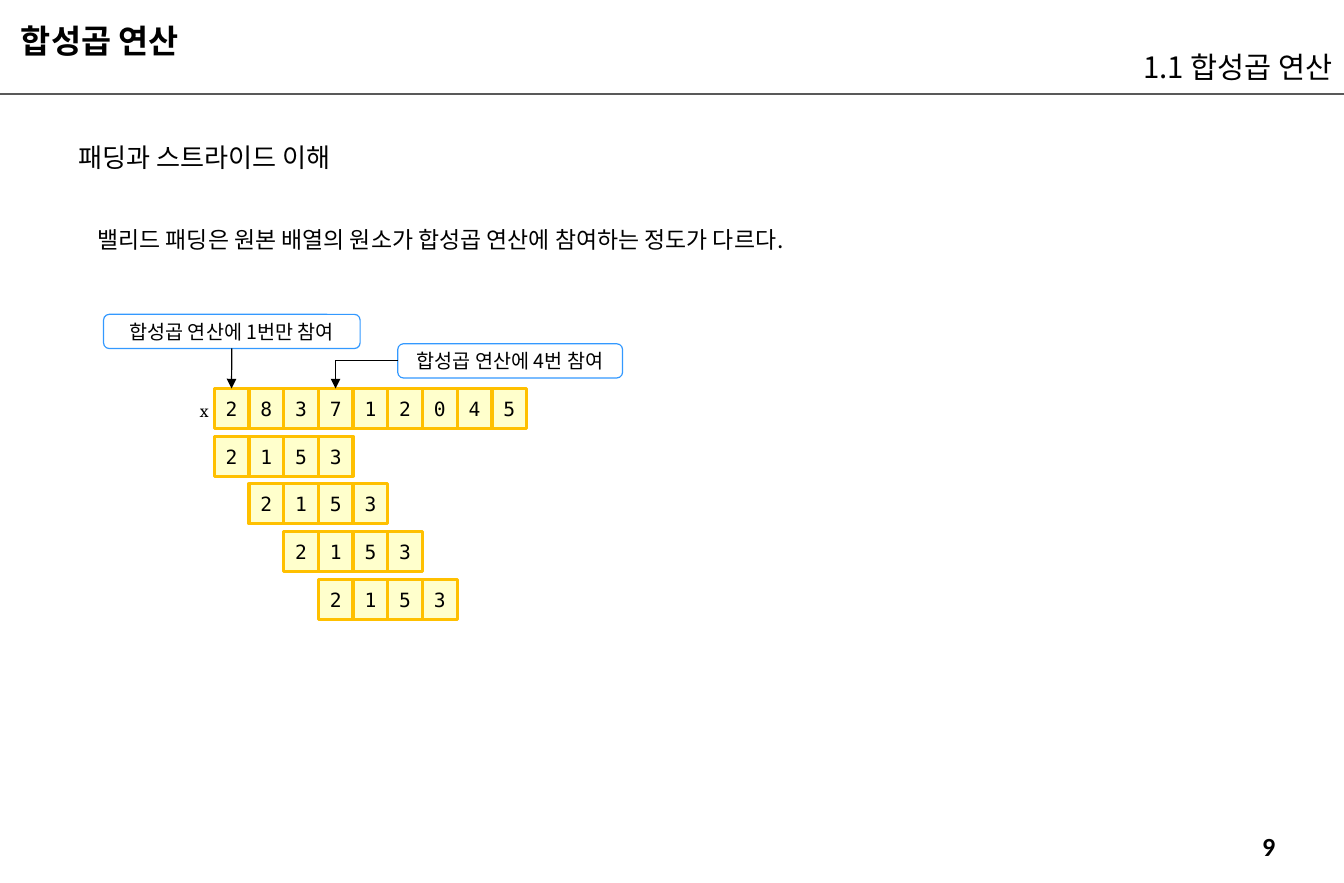
from dataclasses import dataclass

from lxml import etree
from pptx import Presentation
from pptx import util as u
from pptx.dml.color import RGBColor
from pptx.enum import shapes, text
from pptx.oxml.ns import qn

PX = 4572
WIDTH, HEIGHT = 2284, 1500


@dataclass(frozen=True)
class Theme:
    ink: str = "000000"
    rule: str = "595959"
    cell_fill: str = "FFFFCC"
    cell_line: str = "FFC000"
    callout_line: str = "3399FF"
    korean: str = "Noto Sans CJK KR"
    heading: str = "Calibri"
    digits: str = "DejaVu Sans Mono"
    symbol: str = "Cambria"
    title_size: int = 20
    section_size: int = 18
    topic_size: int = 16
    body_size: int = 14
    cell_size: int = 12
    symbol_size: int = 11
    rule_width: float = 1.5
    cell_width: float = 2
    thin_width: float = 0.75


THEME = Theme()
ALIGN = text.PP_ALIGN
ANCHOR = text.MSO_ANCHOR


def emu(*lengths):
    return [u.Emu(length * PX) for length in lengths]


def write(frame, words, size, font, align=ALIGN.LEFT, anchor=ANCHOR.TOP, bold=False, wrap=True):
    frame.word_wrap = wrap
    frame.vertical_anchor = anchor
    paragraph = frame.paragraphs[0]
    paragraph.text = words
    paragraph.alignment = align
    paragraph.font.size = u.Pt(size)
    paragraph.font.bold = bold
    paragraph.font.color.rgb = RGBColor.from_string(THEME.ink)
    paragraph.font.name = font
    defaults = paragraph._p.get_or_add_pPr().get_or_add_defRPr()
    etree.SubElement(defaults, qn("a:ea")).set("typeface", THEME.korean)


def add_label(slide, box, words, size, font, **style):
    label = slide.shapes.add_textbox(*emu(*box))
    write(label.text_frame, words, size, font, **style)
    return label


def add_box(slide, preset, box, words, font, line, width, fill=None):
    shape = slide.shapes.add_shape(preset, *emu(*box))
    shape.shadow.inherit = False
    if fill:
        shape.fill.solid()
        shape.fill.fore_color.rgb = RGBColor.from_string(fill)
    else:
        shape.fill.background()
    shape.line.color.rgb = RGBColor.from_string(line)
    shape.line.width = u.Pt(width)
    write(shape.text_frame, words, THEME.cell_size, font, ALIGN.CENTER, ANCHOR.MIDDLE)
    return shape


def add_line(slide, kind, ends, color, width):
    line = slide.shapes.add_connector(kind, *emu(*ends))
    line.line.color.rgb = RGBColor.from_string(color)
    line.line.width = u.Pt(width)
    etree.SubElement(line._element.spPr, qn("a:effectLst"))
    return line


def add_arrow(slide, kind, callout, side, cell):
    arrow = add_line(slide, kind, (0, 0, 0, 0), THEME.ink, THEME.thin_width)
    arrow.begin_connect(callout, side)
    arrow.end_connect(cell, 0)
    etree.SubElement(arrow.line._get_or_add_ln(), qn("a:tailEnd")).set("type", "triangle")
    return arrow


def draw_header(slide, left, top, width, height):
    add_line(slide, shapes.MSO_CONNECTOR.STRAIGHT,
             (left, top + height, left + width, top + height), THEME.rule, THEME.rule_width)
    title = add_label(slide, (left + 16, top + 18, 1296, 88), "합성곱 연산", THEME.title_size,
                      THEME.heading, anchor=ANCHOR.BOTTOM, bold=True)
    section = add_label(slide, (left + width - 1062, top + 60, 1062, 88), "1.1 합성곱 연산",
                        THEME.section_size, THEME.korean, align=ALIGN.RIGHT, anchor=ANCHOR.BOTTOM)
    for heading in (title, section):
        heading.text_frame.margin_top = heading.text_frame.margin_bottom = u.Emu(4 * PX)


def draw_explanation(slide, left, top, width):
    add_label(slide, (left, top, 472, 74), "패딩과 스트라이드 이해",
              THEME.topic_size, THEME.korean, wrap=False)
    add_label(slide, (left + 32, top + 144, width - 32, 68),
              "밸리드 패딩은 원본 배열의 원소가 합성곱 연산에 참여하는 정도가 다르다.",
              THEME.body_size, THEME.korean)


def draw_convolution(slide, left, top):
    column, row, cell_height = 59, 81, 68
    kernel = "2153"
    rows = [(0, "283712045")] + [(shift, kernel) for shift in range(4)]
    grid = []
    for index, (shift, values) in enumerate(rows):
        grid.append([])
        for place, value in enumerate(values, shift):
            cell = add_box(slide, shapes.MSO_SHAPE.RECTANGLE,
                           (left + place * column, top + index * row, column, cell_height),
                           value, THEME.digits, THEME.cell_line, THEME.cell_width, THEME.cell_fill)
            cell.text_frame.margin_left = cell.text_frame.margin_right = 0
            grid[-1].append(cell)
    add_label(slide, (left - 44, top + 8, 56, 58), "x", THEME.symbol_size, THEME.symbol, wrap=False)

    once, four_times = [
        add_box(slide, shapes.MSO_SHAPE.ROUNDED_RECTANGLE,
                (left + across, top - above, width, 58), words,
                THEME.korean, THEME.callout_line, THEME.thin_width)
        for across, above, width, words in (
            (-188, 126, 436, "합성곱 연산에 1번만 참여"),
            (312, 76, 382, "합성곱 연산에 4번 참여"),
        )
    ]
    source = grid[0]
    add_arrow(slide, shapes.MSO_CONNECTOR.STRAIGHT, once, 2, source[0])
    bend = add_arrow(slide, shapes.MSO_CONNECTOR.ELBOW, four_times, 1, source[3])
    bend._element.spPr.find(qn("a:prstGeom")).set("prst", "bentConnector2")


def draw_page_number(slide, left, top, width, height):
    add_label(slide, (left, top, width, height), "9", THEME.topic_size, THEME.heading,
              align=ALIGN.CENTER, bold=True)


def main():
    deck = Presentation()
    deck.slide_width, deck.slide_height = emu(WIDTH, HEIGHT)
    slide = deck.slides.add_slide(deck.slide_layouts[6])
    draw_page_number(slide, 1762, 1400, 788, 48)
    draw_header(slide, 0, 0, WIDTH, 160)
    draw_explanation(slide, 114, 230, 1258)
    draw_convolution(slide, 364, 660)
    deck.save("out.pptx")


if __name__ == "__main__":
    main()
